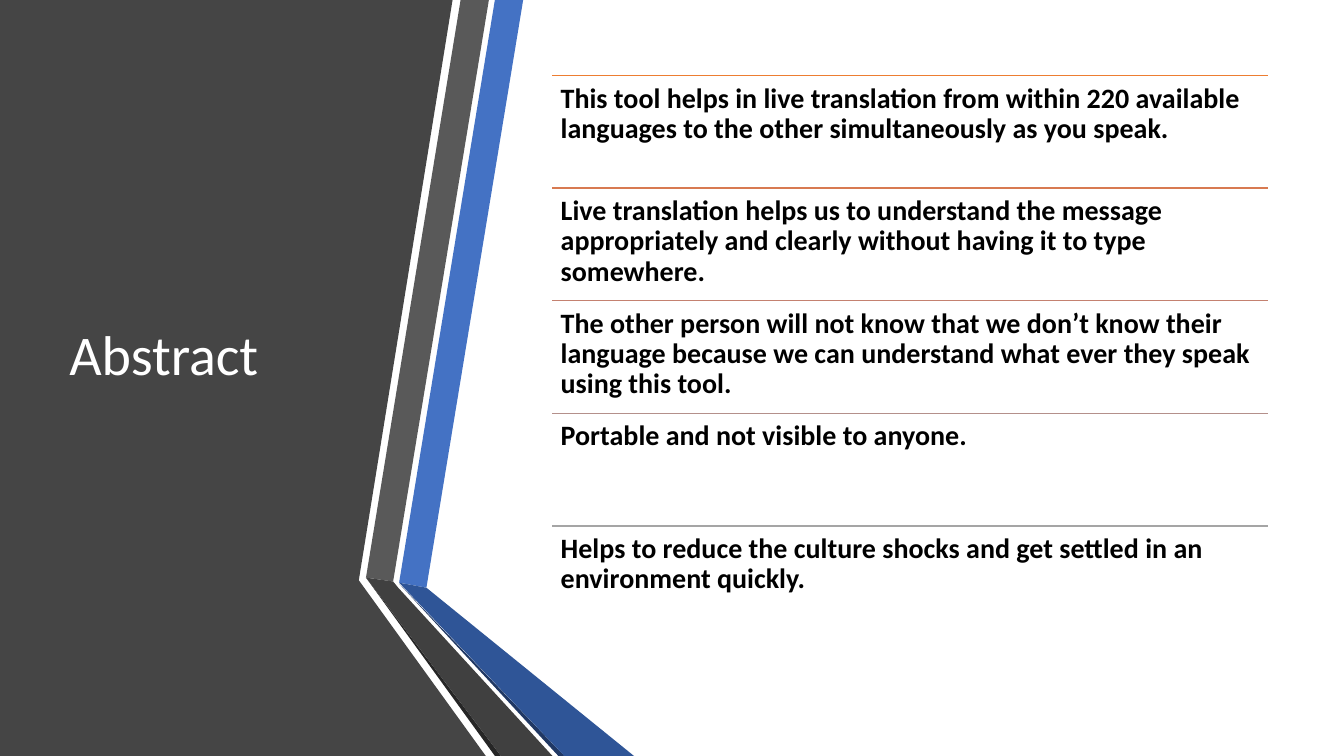
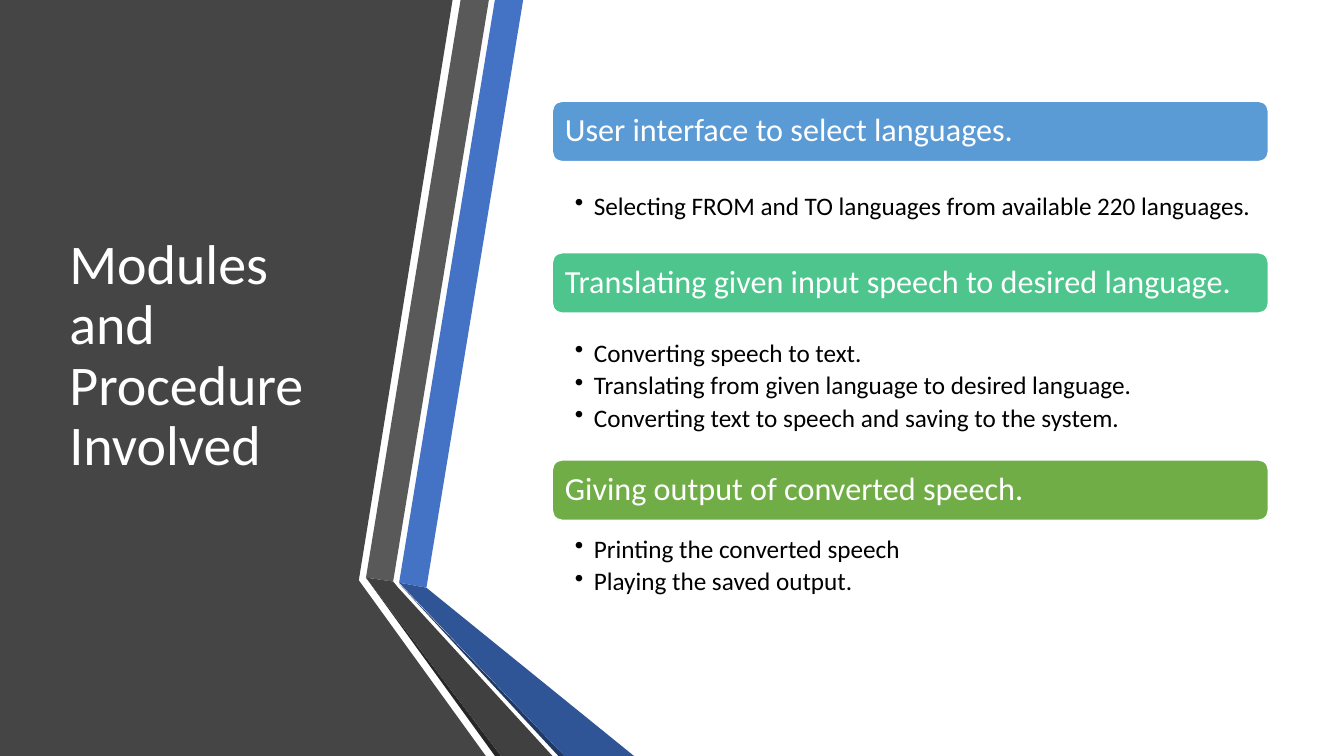
import pptx
import pptx.dml.color
import pptx.enum.shapes
import pptx.enum.text
import pptx.util
from lxml import etree
from pptx.oxml.ns import qn

Pt = pptx.util.Pt
ANCHOR = pptx.enum.text.MSO_ANCHOR
SHAPE = pptx.enum.shapes.MSO_SHAPE

FONT = "Calibri"
WHITE, BLACK = "FFFFFF", "000000"
SLIDE_SIZE = (960, 540)
TITLE_BOX = (42.5, 54, 219, 402)
CONTENT_BOX = (394.5, 54, 511.5, 402)

# Side panel and folded ribbons, back to front: colour and outline in points
PANEL_SHAPES = [
    ("454545", [(0, 0), (323.3, 0), (256.3, 414.5), (347, 540), (0, 540)]),
    ("4472C4", [(285.1, 416.2), (304.6, 419.8), (373.7, 0), (353.5, 0)]),
    ("595959", [(349.2, 0), (329, 0), (261.4, 412.6), (280.8, 415.4)]),
    ("262626", [(261.4, 412.6), (353.5, 540), (357.8, 540)]),
    ("203864", [(285.1, 416.9), (398.9, 540), (403.2, 540)]),
    ("2F5597", [(285.1, 416.2), (403.2, 540), (452.9, 540), (304.6, 419.8)]),
    ("404040", [(394.6, 540), (284.4, 419.8), (280.8, 415.4), (261.4, 412.6),
                (357.8, 540)]),
]

ABSTRACT_ROWS = [
    ("ED7D31", "This tool helps in live translation from within 220 available "
               "languages to the other simultaneously as you speak."),
    ("D87A51", "Live translation helps us to understand the message "
               "appropriately and clearly without having it to type somewhere."),
    ("C48170", "The other person will not know that we don’t know their language "
               "because we can understand what ever they speak using this tool."),
    ("B4908B", "Portable and not visible to anyone."),
    ("A5A5A5", "Helps to reduce the culture shocks and get settled in an "
               "environment quickly."),
]

# Header colour, header, height of the bullet area, bullets
MODULES = [
    ("5B9BD5", "User interface to select languages.", 65,
     ["Selecting FROM and TO languages from available 220 languages."]),
    ("4DC58D", "Translating given input speech to desired language.", 104.8,
     ["Converting speech to text.",
      "Translating from given language to desired language.",
      "Converting text to speech and saving to the system."]),
    ("70AD47", "Giving output of converted speech.", 66,
     ["Printing the converted speech", "Playing the saved output."]),
]


def color(value):
    return pptx.dml.color.RGBColor.from_string(value)


def points(values):
    return [Pt(value) for value in values]


def write(shape, lines, size, ink=BLACK, bold=False, anchor=ANCHOR.MIDDLE,
          insets=(7.2, 3.6, 7.2, 3.6), gap=0, bullet_indent=0):
    """Fill a shape with paragraphs; insets run left, top, right, bottom."""
    frame = shape.text_frame
    frame.word_wrap = True
    frame.vertical_anchor = anchor
    (frame.margin_left, frame.margin_top,
     frame.margin_right, frame.margin_bottom) = points(insets)
    for index, line in enumerate(lines):
        para = frame.add_paragraph() if index else frame.paragraphs[0]
        if bullet_indent:
            props = para._p.get_or_add_pPr()
            props.set("marL", str(Pt(bullet_indent)))
            props.set("indent", str(-Pt(bullet_indent)))
            etree.SubElement(props, qn("a:buChar")).set("char", "•")
        para.alignment = pptx.enum.text.PP_ALIGN.LEFT
        para.line_spacing = 0.9
        if index:
            para.space_before = Pt(gap)
        span = para.add_run()
        span.text = line
        span.font.name = FONT
        span.font.size = Pt(size)
        span.font.bold = bold
        span.font.color.rgb = color(ink)


def add_text(page, box, lines, size, **style):
    write(page.shapes.add_textbox(*points(box)), lines, size, **style)


def add_rule(page, left, top, width, ink):
    rule = page.shapes.add_connector(
        pptx.enum.shapes.MSO_CONNECTOR.STRAIGHT,
        *points((left, top, left + width, top)))
    rule.line.color.rgb = color(ink)
    rule.line.width = Pt(1)
    etree.SubElement(rule._element.spPr, qn("a:effectLst"))


def add_side_panel(page):
    for fill, outline in PANEL_SHAPES:
        start, *rest = [tuple(points(corner)) for corner in outline]
        builder = page.shapes.build_freeform(*start)
        builder.add_line_segments(rest, close=True)
        ribbon = builder.convert_to_shape()
        ribbon.shadow.inherit = False
        ribbon.fill.solid()
        ribbon.fill.fore_color.rgb = color(fill)
        ribbon.line.fill.background()


def add_page(deck, title):
    page = deck.slides.add_slide(deck.slide_layouts[6])
    add_side_panel(page)
    add_text(page, TITLE_BOX, [title], 40, ink=WHITE)
    return page


def add_ruled_rows(page, box, rows):
    left, top, width, height = box
    row_height = height / len(rows)
    for index, (ink, sentence) in enumerate(rows):
        row_top = top + index * row_height
        add_rule(page, left, row_top, width, ink)
        add_text(page, (left, row_top, width, row_height), [sentence], 20,
                 bold=True, anchor=ANCHOR.TOP, insets=(6, 6, 6, 6))


def add_module_list(page, box, modules):
    left, top, width, height = box
    header_height = 43.2
    # The stack of headers and bullet areas is centred in the box
    stack = sum(header_height + area for _, _, area, _ in modules)
    y = top + (height - stack) / 2
    for fill, heading, area, bullets in modules:
        header = page.shapes.add_shape(
            SHAPE.ROUNDED_RECTANGLE, *points((left, y, width, header_height)))
        header.shadow.inherit = False
        header.fill.solid()
        header.fill.fore_color.rgb = color(fill)
        header.line.color.rgb = color(WHITE)
        header.line.width = Pt(1)
        write(header, [heading], 23, ink=WHITE, insets=(6.9, 6.9, 6.9, 6.9))
        y += header_height
        add_text(page, (left, y, width, area), bullets, 18, gap=3.6,
                 insets=(16.2, 2.3, 12.8, 2.3), bullet_indent=13.5)
        y += area


def main():
    deck = pptx.Presentation()
    deck.slide_width, deck.slide_height = points(SLIDE_SIZE)
    add_ruled_rows(add_page(deck, "Abstract"), CONTENT_BOX, ABSTRACT_ROWS)
    add_module_list(add_page(deck, "Modules and Procedure Involved"),
                    CONTENT_BOX, MODULES)
    deck.save("out.pptx")


if __name__ == "__main__":
    main()
